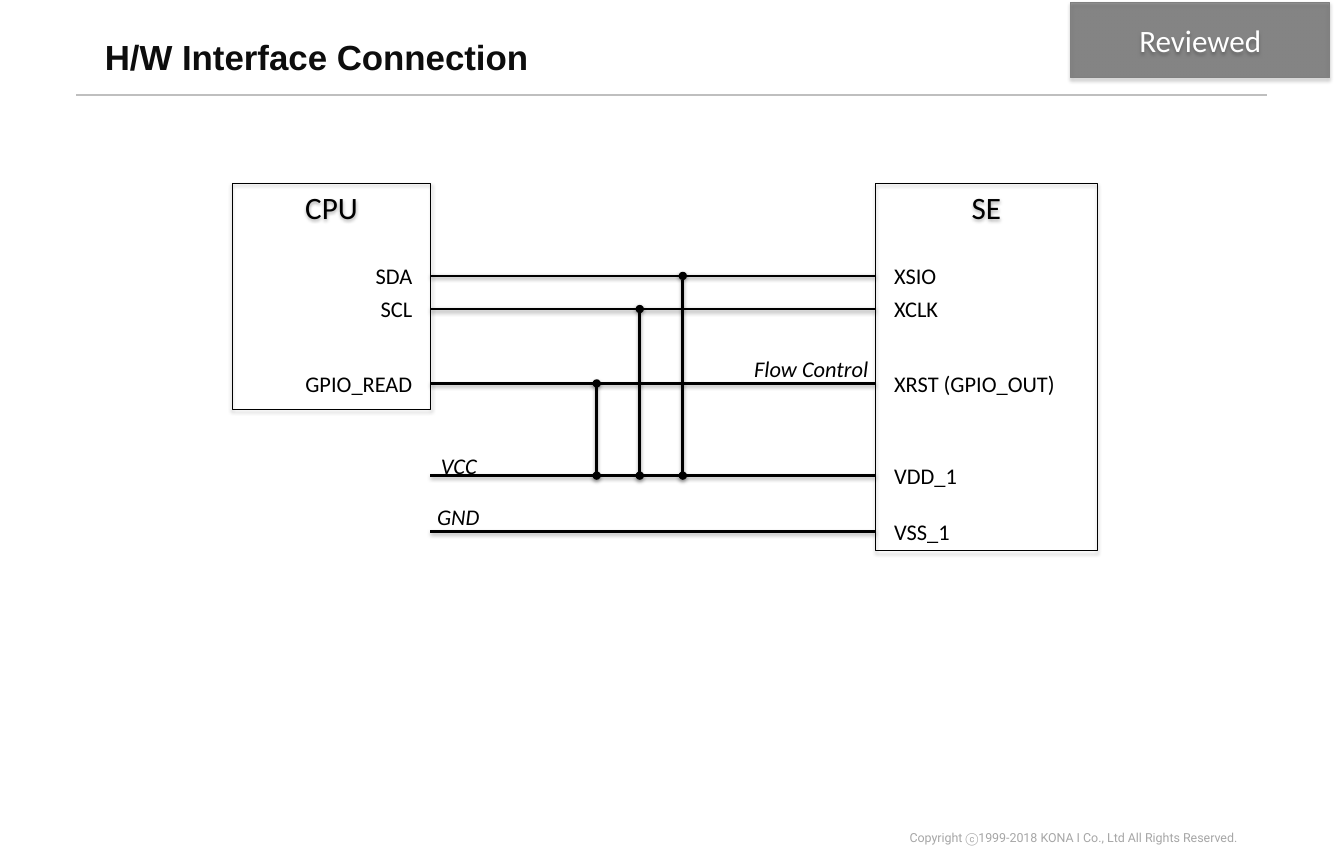
from dataclasses import dataclass

from lxml import etree
from pptx import Presentation
from pptx.dml.color import RGBColor
from pptx.enum.shapes import MSO_CONNECTOR, MSO_SHAPE
from pptx.enum.text import MSO_ANCHOR, MSO_AUTO_SIZE, PP_ALIGN
from pptx.oxml.ns import qn
from pptx.util import Pt

LEFT, CENTER, RIGHT = PP_ALIGN.LEFT, PP_ALIGN.CENTER, PP_ALIGN.RIGHT
TOP, MIDDLE = MSO_ANCHOR.TOP, MSO_ANCHOR.MIDDLE
GROW = MSO_AUTO_SIZE.SHAPE_TO_FIT_TEXT
RECTANGLE, STRAIGHT = MSO_SHAPE.RECTANGLE, MSO_CONNECTOR.STRAIGHT

COLORS = {
    "ink": "000000",
    "title": "0D0D0D",
    "rule": "BFBFBF",
    "footer": "A6A6A6",
    "stamp_edge": "808080",
    "stamp_text": "FFFFFF",
}
TITLE_FONT = {"name": "Arial", "size": Pt(28), "bold": True}
BLOCK_FONT = {"name": "Calibri", "size": Pt(25)}
PIN_FONT = {"name": "Calibri", "size": Pt(18)}
SIGNAL_FONT = {**PIN_FONT, "italic": True}
FOOTER_FONT = {"name": "Roboto", "size": Pt(10)}
NO_MARGINS = dict.fromkeys(
    ("margin_left", "margin_top", "margin_right", "margin_bottom"), 0)

WIRE_START, WIRE_END = 345.6, 703.4
CPU_PIN_RIGHT, SE_PIN_LEFT = 338.4, 711.4
LABEL_HEIGHT = 28.8
VCC_Y = 382.3
PULL_UP_X, PULL_UP_STEP = 479.5, 34.6


@dataclass
class Block:
    name: str
    left: float
    top: float
    width: float
    height: float
    edge: str = "ink"
    text: str = "ink"
    anchor: MSO_ANCHOR = TOP
    opacity: int = 0


@dataclass
class Wire:
    y: float
    se_pin: str
    se_width: float
    cpu_pin: str = ""
    cpu_width: float = 0


@dataclass
class Signal:
    name: str
    left: float
    top: float
    width: float
    align: PP_ALIGN = RIGHT


BLOCKS = [
    Block("CPU", 186.5, 147.6, 159.8, 181.4),
    Block("SE", 703.4, 147.6, 178.6, 295.2),
    Block("Reviewed", 860.4, 2.2, 208.1, 60.5, "stamp_edge", "stamp_text", MIDDLE, 40),
]
WIRES = [
    Wire(221.8, "XSIO", 49, "SDA", 44.6),
    Wire(248.4, "XCLK", 50.4, "SCL", 40.3),
    Wire(308.2, "XRST (GPIO_OUT)", 144.7, "GPIO_READ", 101.5),
    Wire(VCC_Y, "VDD_1", 65.5),
    Wire(427.4, "VSS_1", 59.8),
]
SIGNALS = [
    Signal("Flow Control", 599, 282.2, 108, LEFT),
    Signal("VCC", 346.3, 360, 43.9),
    Signal("GND", 343.4, 401, 49),
]


def rgb(key: str) -> RGBColor:
    return RGBColor.from_string(COLORS[key])


def apply(target, values: dict) -> None:
    for attribute, value in values.items():
        setattr(target, attribute, value)


def write(frame, text: str, font: dict, color: str, align: PP_ALIGN):
    paragraph = frame.paragraphs[0]
    paragraph.alignment = align
    run = paragraph.add_run()
    run.text = text
    apply(run.font, font)
    run.font.color.rgb = rgb(color)
    return paragraph


def add_label(slide, text: str, left: float, top: float, width: float,
              font: dict, align: PP_ALIGN) -> None:
    label = slide.shapes.add_textbox(Pt(left), Pt(top), Pt(width), Pt(LABEL_HEIGHT))
    apply(label.text_frame, {"word_wrap": False, "auto_size": GROW})
    write(label.text_frame, text, font, "ink", align)


def add_shadow(shape, distance: float, opacity: int) -> None:
    properties = shape._element.spPr
    for old in properties.findall(qn("a:effectLst")):
        properties.remove(old)
    effects = etree.SubElement(properties, qn("a:effectLst"))
    shadow = etree.SubElement(
        effects, qn("a:outerShdw"), blurRad=str(Pt(3.1)), dist=str(Pt(distance)),
        dir="5400000", rotWithShape="0")
    tint = etree.SubElement(shadow, qn("a:srgbClr"), val=COLORS["ink"])
    etree.SubElement(tint, qn("a:alpha"), val=str(opacity * 1000))


def add_line(slide, x1: float, y1: float, x2: float, y2: float,
             weight: float, color: str = "ink", dots: bool = False):
    line = slide.shapes.add_connector(STRAIGHT, Pt(x1), Pt(y1), Pt(x2), Pt(y2))
    line.line.width = Pt(weight)
    line.line.color.rgb = rgb(color)
    if dots:
        for end in ("a:headEnd", "a:tailEnd"):
            etree.SubElement(line.line._get_or_add_ln(), qn(end), type="oval")
    etree.SubElement(line._element.spPr, qn("a:effectLst"))
    return line


def add_block(slide, block: Block) -> None:
    shape = slide.shapes.add_shape(
        RECTANGLE, Pt(block.left), Pt(block.top), Pt(block.width), Pt(block.height))
    if block.opacity:
        shape.fill.solid()
        shape.fill.fore_color.rgb = rgb("ink")
        tint = shape._element.spPr.find(qn("a:solidFill"))[0]
        etree.SubElement(tint, qn("a:alpha"), val=str(block.opacity * 1000))
    else:
        shape.fill.background()
    shape.line.color.rgb = rgb(block.edge)
    shape.line.width = Pt(0.75)
    add_shadow(shape, 1.8, 35)
    shape.text_frame.vertical_anchor = block.anchor
    write(shape.text_frame, block.name, BLOCK_FONT, block.text, CENTER)


def add_wire(slide, wire: Wire) -> None:
    line = add_line(slide, WIRE_START, wire.y, WIRE_END, wire.y, 2)
    add_shadow(line, 1.6, 38)
    top = wire.y - LABEL_HEIGHT / 2
    add_label(slide, wire.se_pin, SE_PIN_LEFT, top, wire.se_width, PIN_FONT, LEFT)
    if wire.cpu_pin:
        add_label(slide, wire.cpu_pin, CPU_PIN_RIGHT - wire.cpu_width, top,
                  wire.cpu_width, PIN_FONT, RIGHT)


def main() -> None:
    deck = Presentation()
    apply(deck, {"slide_width": Pt(1080), "slide_height": Pt(697.7)})
    slide = deck.slides.add_slide(deck.slide_layouts[5])

    title = slide.shapes.title
    apply(title, {"left": Pt(84.2), "top": Pt(28.8), "width": Pt(910), "height": Pt(33.8)})
    apply(title.text_frame, {**NO_MARGINS, "word_wrap": True, "vertical_anchor": TOP,
                             "auto_size": GROW})
    write(title.text_frame, "H/W Interface Connection", TITLE_FONT, "title", LEFT)
    add_line(slide, 61.2, 76.3, 1018, 76.3, 2.25, "rule")

    footer = slide.shapes.add_textbox(Pt(681.8), Pt(664.6), Pt(312.5), Pt(14.4))
    apply(footer.text_frame, {**NO_MARGINS, "word_wrap": True, "auto_size": GROW})
    notice = write(footer.text_frame,
                   "Copyright ⓒ1999-2018 KONA I Co., Ltd All Rights Reserved.",
                   FOOTER_FONT, "footer", RIGHT)
    notice.line_spacing = 1.2

    for block in BLOCKS:
        add_block(slide, block)
    for wire in WIRES:
        add_wire(slide, wire)
    for signal in SIGNALS:
        add_label(slide, signal.name, signal.left, signal.top, signal.width,
                  SIGNAL_FONT, signal.align)
    pulled_up = [wire for wire in WIRES if wire.cpu_pin]
    for index, wire in enumerate(reversed(pulled_up)):
        x = PULL_UP_X + index * PULL_UP_STEP
        add_shadow(add_line(slide, x, wire.y, x, VCC_Y, 2.25, dots=True), 1.6, 38)

    deck.save("out.pptx")


if __name__ == "__main__":
    main()
